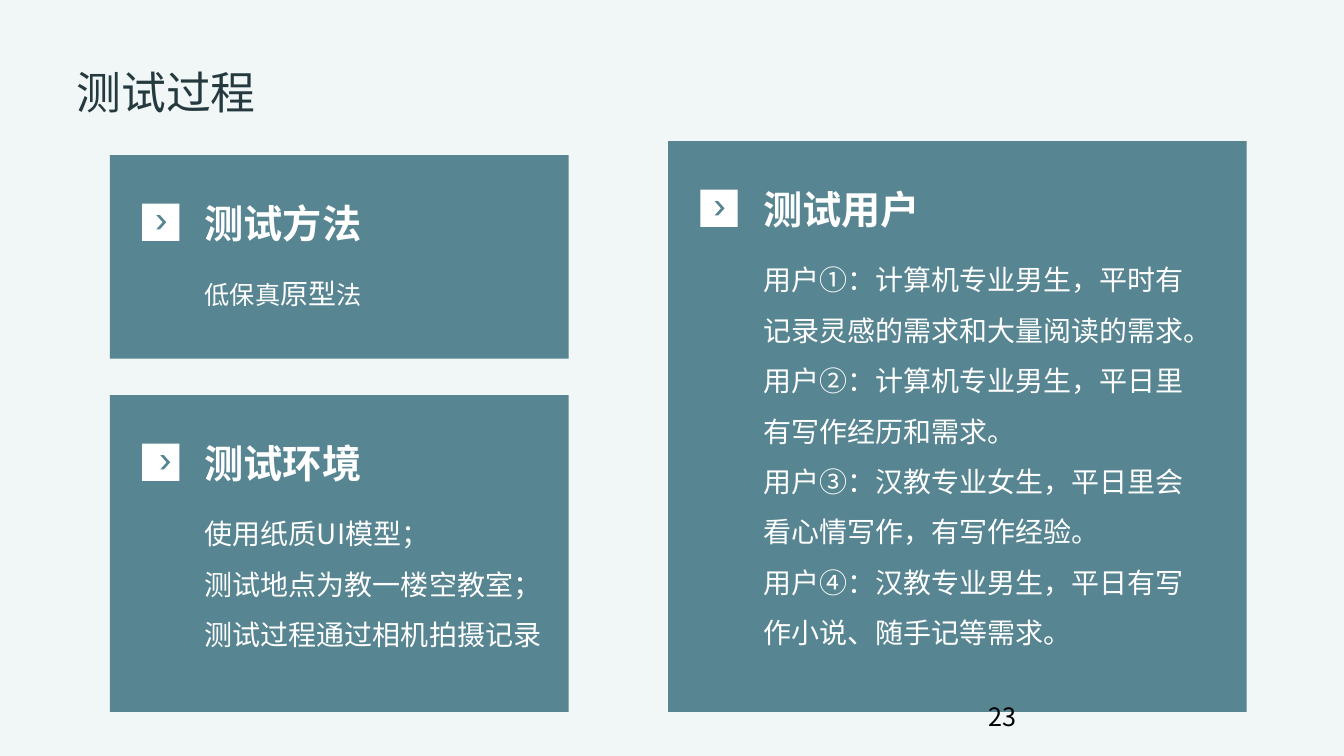
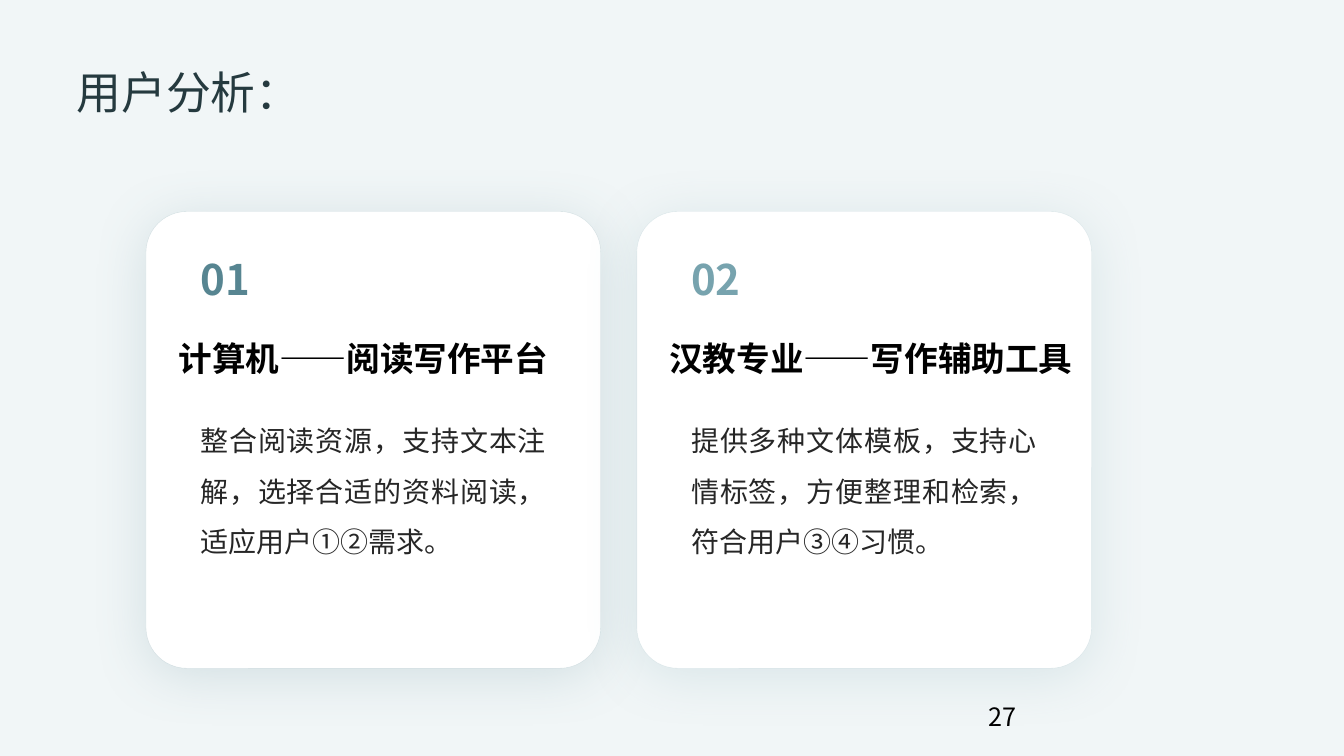
"""Build two slides on a usability test: its set-up and the user analysis."""
import dataclasses
from typing import Optional

import lxml.etree
import pptx
import pptx.dml.color
import pptx.enum.shapes
import pptx.enum.text
import pptx.oxml.ns
import pptx.util

Cm = pptx.util.Cm
Pt = pptx.util.Pt
qn = pptx.oxml.ns.qn
ALIGN = pptx.enum.text.PP_ALIGN
ANCHOR = pptx.enum.text.MSO_ANCHOR
SHAPE = pptx.enum.shapes.MSO_SHAPE


@dataclasses.dataclass(frozen=True)
class Theme:
    """Colours, fonts and type sizes shared by the slides."""
    background: str = "F1F6F7"
    teal: str = "578591"
    light_teal: str = "77A3AE"
    white: str = "FFFFFF"
    black: str = "000000"
    title_color: str = "253A3F"
    card_text: str = "262626"
    font: str = "Noto Sans CJK SC"
    title_font: str = "Times New Roman"
    title_size: int = 32
    number_size: int = 30
    panel_heading_size: int = 28
    card_heading_size: int = 24
    body_size: int = 20
    small_size: int = 18


THEME = Theme()


@dataclasses.dataclass(frozen=True)
class TextStyle:
    """Appearance of the text in one box."""
    size: int
    color: str
    bold: bool = False
    font: str = THEME.font
    align: Optional[ALIGN] = None
    anchor: ANCHOR = ANCHOR.TOP
    line_spacing: Optional[float] = None


TITLE = TextStyle(THEME.title_size, THEME.title_color, font=THEME.title_font, anchor=ANCHOR.BOTTOM)
PAGE_NUMBER = TextStyle(THEME.small_size, THEME.black)
PANEL_HEADING = TextStyle(THEME.panel_heading_size, THEME.white, bold=True, anchor=ANCHOR.MIDDLE)
PANEL_BODY = TextStyle(THEME.body_size, THEME.white, line_spacing=1.5)
CARD_HEADING = TextStyle(THEME.card_heading_size, THEME.black, bold=True, anchor=ANCHOR.MIDDLE)
CARD_BODY = TextStyle(THEME.body_size, THEME.card_text, align=ALIGN.JUSTIFY, line_spacing=1.5)


def rgb(color):
    """Turn a hexadecimal string into a colour."""
    return pptx.dml.color.RGBColor.from_string(color)


def format_run(run, style, size):
    """Apply a style's font, weight and colour to a run."""
    run.font.size = Pt(size)
    run.font.bold = style.bold
    run.font.name = style.font
    run.font.color.rgb = rgb(style.color)
    east_asian = lxml.etree.SubElement(run.font._element, qn("a:ea"))
    east_asian.set("typeface", THEME.font)


def add_text(slide, box, paragraphs, style, inset=True):
    """Add a text box; a paragraph is a string or a list of (text, size) pairs."""
    shape = slide.shapes.add_textbox(*map(Cm, box))
    frame = shape.text_frame
    frame.word_wrap = True
    frame.vertical_anchor = style.anchor
    if not inset:
        frame.margin_left = frame.margin_top = frame.margin_right = frame.margin_bottom = 0
    for index, content in enumerate(paragraphs):
        paragraph = frame.add_paragraph() if index else frame.paragraphs[0]
        paragraph.alignment = style.align
        paragraph.line_spacing = style.line_spacing
        pieces = [(content, style.size)] if isinstance(content, str) else content
        for text, size in pieces:
            run = paragraph.add_run()
            run.text = text
            format_run(run, style, size)


def add_block(slide, kind, box, fill):
    """Add a filled shape without outline or shadow."""
    shape = slide.shapes.add_shape(kind, *map(Cm, box))
    shape.shadow.inherit = False
    shape.fill.solid()
    shape.fill.fore_color.rgb = rgb(fill)
    shape.line.fill.background()
    return shape


def add_alpha(color_element, percent):
    """Set the opacity of a colour element."""
    alpha = lxml.etree.SubElement(color_element, qn("a:alpha"))
    alpha.set("val", str(percent * 1000))


def add_soft_shadow(shape, color):
    """Give a shape a wide, faint shadow falling downwards."""
    effects = shape._element.spPr.find(qn("a:effectLst"))
    shadow = lxml.etree.SubElement(effects, qn("a:outerShdw"))
    settings = {"blurRad": Pt(40), "dist": Pt(6), "dir": 90 * 60000, "algn": "t", "rotWithShape": 0}
    for name, value in settings.items():
        shadow.set(name, str(value))
    shadow_color = lxml.etree.SubElement(shadow, qn("a:srgbClr"))
    shadow_color.set("val", color)
    add_alpha(shadow_color, 20)


def add_panel(slide, box, heading, body, body_size, body_style=PANEL_BODY, chevron_offset=1.17):
    """Add a teal panel with a chevron marker, a heading and body text."""
    left, top = box[:2]
    add_block(slide, SHAPE.RECTANGLE, box, THEME.teal)
    add_block(slide, SHAPE.RECTANGLE, (left + 0.81, top + 1.22, 0.94, 0.94), THEME.white)
    chevron_box = (left + chevron_offset, top + 1.51, 0.25, 0.36)
    chevron = add_block(slide, SHAPE.CHEVRON, chevron_box, THEME.teal)
    chevron.adjustments[0] = 0.64
    text_left = left + 2.39
    add_text(slide, (text_left, top + 1.09, 8.36, 1.22), [heading], PANEL_HEADING, inset=False)
    add_text(slide, (text_left, top + 2.64, *body_size), body, body_style, inset=False)


def add_card(slide, left, number, color, heading, body):
    """Add a white rounded card with a number, a heading and body text."""
    top = 5.33
    card = add_block(slide, SHAPE.ROUNDED_RECTANGLE, (left, top, 11.46, 11.51), THEME.white)
    card.adjustments[0] = 0.09
    card.line.color.rgb = rgb(color)
    card.line.width = Pt(0.25)
    add_alpha(card._element.spPr.find(qn("a:ln")).find(".//" + qn("a:srgbClr")), 20)
    add_soft_shadow(card, color)
    number_style = TextStyle(THEME.number_size, color, bold=True, anchor=ANCHOR.MIDDLE)
    add_text(slide, (left + 1.37, top + 0.94, 8.71, 1.5), [number], number_style, inset=False)
    add_text(slide, (left + 0.82, top + 2.46, 10.6, 2.49), [heading], CARD_HEADING, inset=False)
    add_text(slide, (left + 1.37, top + 4.93, 8.71, 3.33), [body], CARD_BODY, inset=False)


def add_slide(presentation, title, page):
    """Add a blank slide with the shared title and page number."""
    slide = presentation.slides.add_slide(presentation.slide_layouts[6])
    add_text(slide, (1.93, 0.99, 30, 2), [title], TITLE, inset=False)
    return slide, lambda: add_text(slide, (24.66, 17.55, 7.49, 0.89), [page], PAGE_NUMBER)


def build_test_process(presentation):
    """Show the test method, environment and users."""
    slide, add_page_number = add_slide(presentation, "测试过程", "23")
    add_panel(slide, (16.84, 3.56, 14.58, 14.38), "测试用户", [
        "用户①：计算机专业男生，平时有记录灵感的需求和大量阅读的需求。",
        "用户②：计算机专业男生，平日里有写作经历和需求。",
        "用户③：汉教专业女生，平日里会看心情写作，有写作经验。",
        "用户④：汉教专业男生，平日有写作小说、随手记等需求。",
    ], (11.13, 10.26))
    add_panel(slide, (2.77, 9.96, 11.56, 7.98), "测试环境", [
        "使用纸质UI模型；",
        "测试地点为教一楼空教室；",
        "测试过程通过相机拍摄记录",
    ], (8.64, 5), dataclasses.replace(PANEL_BODY, align=ALIGN.JUSTIFY), chevron_offset=1.27)
    add_panel(slide, (2.77, 3.91, 11.56, 5.13), "测试方法", [
        [("低保真", THEME.small_size), ("原型", THEME.body_size), ("法", THEME.small_size)],
    ], (8.36, 1.63))
    add_page_number()


def build_user_analysis(presentation):
    """Show what each group of users needs."""
    slide, add_page_number = add_slide(presentation, "用户分析：", "27")
    cards = [
        (THEME.teal, "计算机——阅读写作平台",
         "整合阅读资源，支持文本注解，选择合适的资料阅读，适应用户①②需求。"),
        (THEME.light_teal, "汉教专业——写作辅助工具",
         "提供多种文体模板，支持心情标签，方便整理和检索，符合用户③④习惯。"),
    ]
    for index, (color, heading, body) in enumerate(cards):
        add_card(slide, 3.68 + index * 12.37, f"{index + 1:02d}", color, heading, body)
    add_page_number()


def main():
    """Build and save the presentation."""
    presentation = pptx.Presentation()
    presentation.slide_width = Cm(33.87)
    presentation.slide_height = Cm(19.05)
    background = presentation.slide_master.background.fill
    background.solid()
    background.fore_color.rgb = rgb(THEME.background)
    build_test_process(presentation)
    build_user_analysis(presentation)
    presentation.save("out.pptx")


if __name__ == "__main__":
    main()
